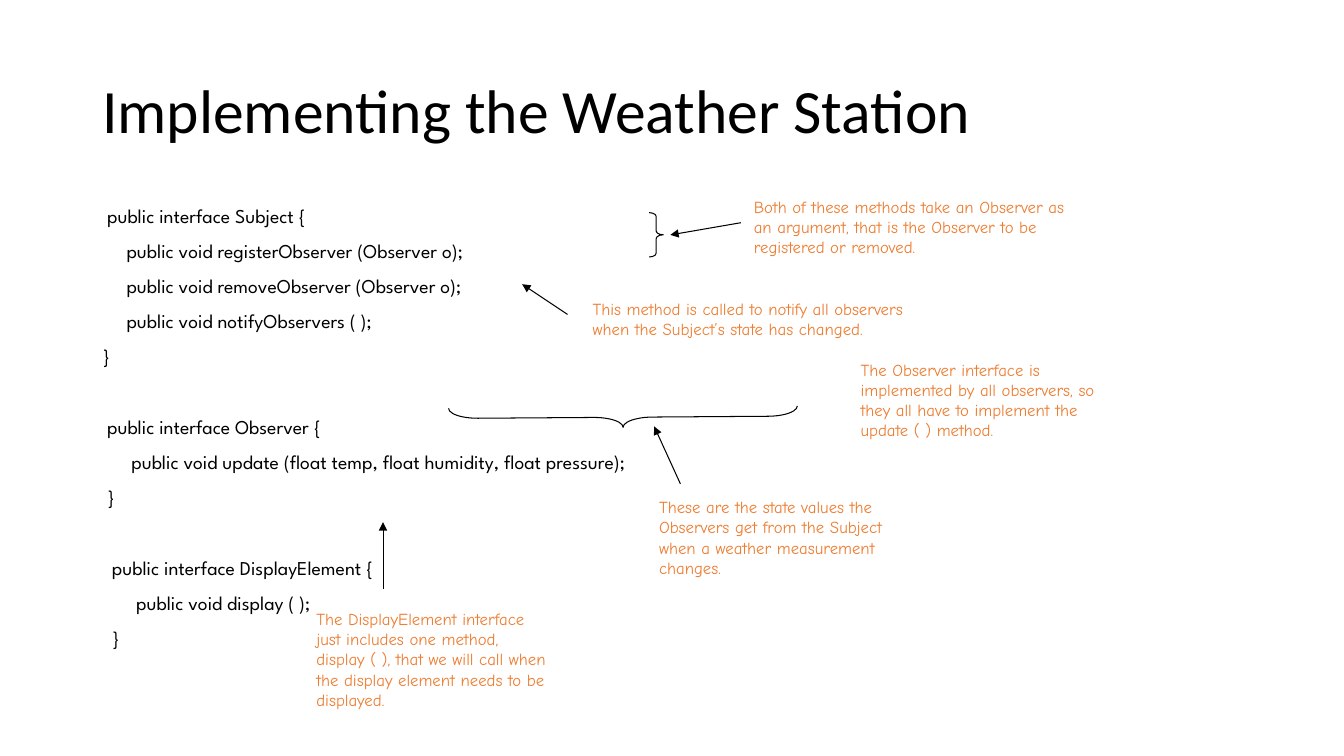
from dataclasses import dataclass

from lxml.etree import SubElement
from pptx import Presentation
from pptx.dml.color import RGBColor
from pptx.enum.shapes import MSO_CONNECTOR, MSO_SHAPE
from pptx.enum.text import MSO_ANCHOR
from pptx.oxml.ns import qn
from pptx.util import Pt


@dataclass(frozen=True)
class Theme:
    """Colours, fonts and sizes of the slide."""
    ink: RGBColor = RGBColor(0x00, 0x00, 0x00)
    note: RGBColor = RGBColor(0xED, 0x7D, 0x31)
    title_font: str = "Calibri"
    code_font: str = "League Spartan"
    note_font: str = "Comic Neue"
    title_size: float = 44
    code_size: float = 14
    note_size: float = 12
    line_width: float = 0.75
    line_spacing: float = 0.9
    code_gap: float = 10
    interface_gap: float = 35.2


THEME = Theme()

INTERFACES = [
    [" public interface Subject {",
     "     public void registerObserver (Observer o);",
     "     public void removeObserver (Observer o);",
     "     public void notifyObservers ( );",
     "}"],
    [" public interface Observer {",
     "      public void update (float temp, float humidity, float pressure);",
     " }"],
    ["  public interface DisplayElement {",
     "       public void display ( );",
     "  }"],
]

NOTES = [
    (531.4, 136.8, 249.8, 51.1,
     ["Both of these methods take an Observer as an argument, "
      "that is the Observer to be registered or removed."]),
    (416.2, 209.5, 249.8, 51.1,
     ["This method is called to notify all observers "
      "when the Subject’s state has changed."]),
    (607.7, 253.4, 182.9, 65.5,
     ["The Observer interface is implemented by all observers, "
      "so they all have to implement the update ( ) method."]),
    (463.7, 351.4, 182.9, 65.5,
     ["These are the state values the Observers get from the Subject "
      "when a weather measurement changes."]),
    (218.9, 431.3, 182.9, 79.9,
     ["The DisplayElement interface",
      "just includes one method, display ( ), that we will call "
      "when the display element needs to be displayed."]),
]

ARROWS = [
    (529.2, 159.1, 478.8, 167.8),
    (405.4, 224.6, 373, 203),
    (486, 345.6, 467.3, 304.6),
    (273.6, 420.5, 273.6, 373),
]

BRACES = [
    (463.7, 151.9, 10.1, 31.7, 0, 0.268),
    (437.8, 173.5, 14.4, 249.1, 89.6, 1.456),
]


def add_frame(slide, left, top, width, height):
    """Add a wrapping text box and return its text frame."""
    frame = slide.shapes.add_textbox(
        Pt(left), Pt(top), Pt(width), Pt(height)).text_frame
    frame.word_wrap = True
    return frame


def add_run(paragraph, wording, font, size, colour):
    """Add one formatted run to a paragraph."""
    run = paragraph.add_run()
    run.text = wording
    run.font.name = font
    run.font.size = Pt(size)
    run.font.color.rgb = colour


def add_title(slide, wording):
    """Add the slide title."""
    frame = add_frame(slide, 66, 28.75, 828, 104.4)
    frame.vertical_anchor = MSO_ANCHOR.MIDDLE
    heading = frame.paragraphs[0]
    heading.line_spacing = THEME.line_spacing
    add_run(heading, wording, THEME.title_font, THEME.title_size, THEME.ink)


def add_code(slide, interfaces):
    """Add the interfaces as code lines, set apart by a wider gap."""
    frame = add_frame(slide, 66, 143.75, 828, 342.6)
    for block, code_lines in enumerate(interfaces):
        for row, code in enumerate(code_lines):
            if block == row == 0:
                statement = frame.paragraphs[0]
            else:
                statement = frame.add_paragraph()
                gap = THEME.code_gap if row else THEME.interface_gap
                statement.space_before = Pt(gap)
            statement.line_spacing = THEME.line_spacing
            add_run(statement, code, THEME.code_font, THEME.code_size, THEME.ink)


def add_note(slide, left, top, width, height, note_lines):
    """Add an annotation, with line breaks between its parts."""
    annotation = add_frame(slide, left, top, width, height).paragraphs[0]
    for row, wording in enumerate(note_lines):
        if row:
            annotation.add_line_break()
        add_run(annotation, wording, THEME.note_font, THEME.note_size, THEME.note)


def add_brace(slide, left, top, width, height, rotation, curl):
    """Add an unfilled right brace."""
    brace = slide.shapes.add_shape(
        MSO_SHAPE.RIGHT_BRACE, Pt(left), Pt(top), Pt(width), Pt(height))
    brace.rotation = rotation
    brace.adjustments[0] = curl
    brace.adjustments[1] = 0.5
    brace.shadow.inherit = False
    brace.fill.background()
    brace.line.color.rgb = THEME.ink
    brace.line.width = Pt(THEME.line_width)


def add_arrow(slide, start_x, start_y, end_x, end_y):
    """Add a straight arrow with a triangular head at its end."""
    arrow = slide.shapes.add_connector(
        MSO_CONNECTOR.STRAIGHT, Pt(start_x), Pt(start_y), Pt(end_x), Pt(end_y))
    arrow.line.color.rgb = THEME.ink
    arrow.line.width = Pt(THEME.line_width)
    properties = arrow.element.spPr
    SubElement(properties.find(qn("a:ln")), qn("a:tailEnd"), type="triangle")
    SubElement(properties, qn("a:effectLst"))


def main():
    """Build the slide and save it."""
    presentation = Presentation()
    presentation.slide_width = Pt(960)
    presentation.slide_height = Pt(540)
    slide = presentation.slides.add_slide(presentation.slide_layouts[6])
    add_title(slide, "Implementing the Weather Station")
    add_code(slide, INTERFACES)
    for brace in BRACES:
        add_brace(slide, *brace)
    for arrow in ARROWS:
        add_arrow(slide, *arrow)
    for note in NOTES:
        add_note(slide, *note)
    presentation.save("out.pptx")


if __name__ == "__main__":
    main()
